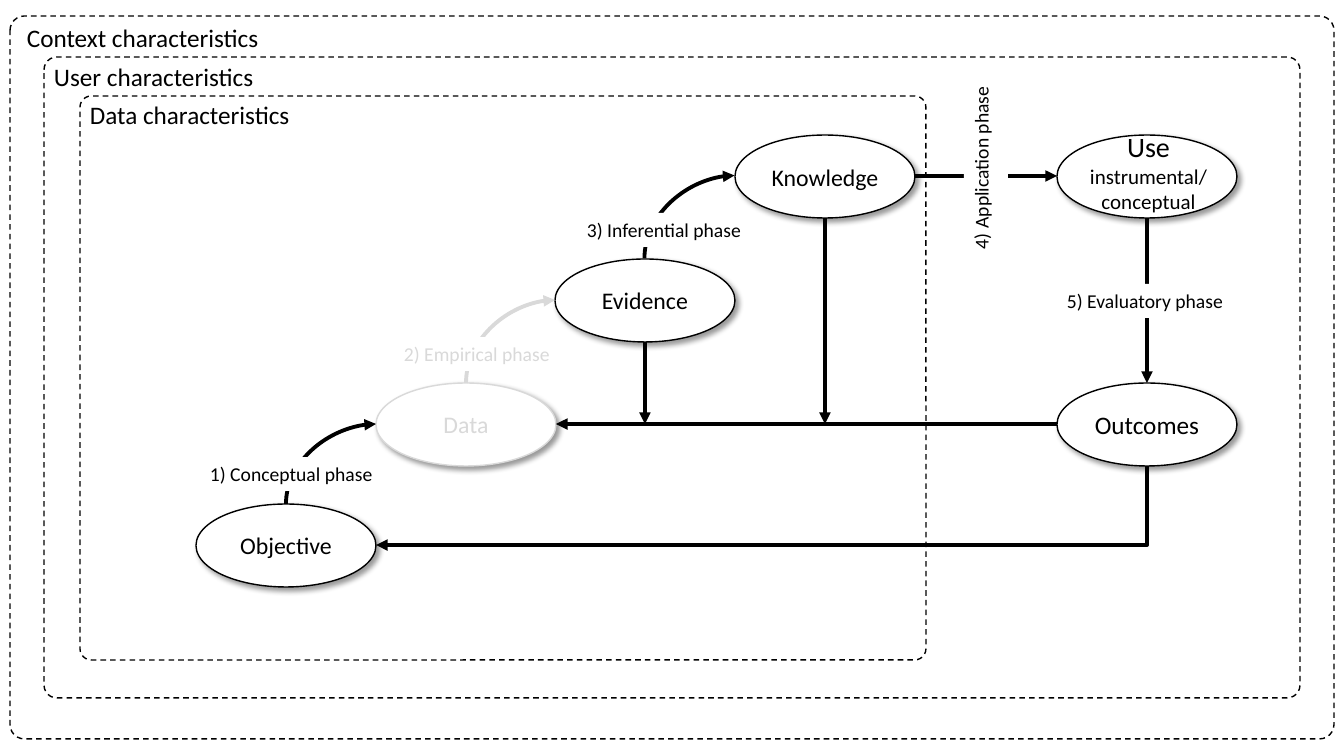
from dataclasses import dataclass
from lxml import etree
from pptx import Presentation
from pptx.dml.color import RGBColor
from pptx.enum.dml import MSO_LINE
from pptx.enum.shapes import MSO_CONNECTOR, MSO_SHAPE
from pptx.enum.text import MSO_ANCHOR, PP_ALIGN
from pptx.oxml import parse_xml
from pptx.oxml.ns import nsdecls, qn
from pptx.util import Emu, Pt

SCALE = 914400 / 100.8
FONT = "Calibri"
HUES = {"ink": "000000", "faint": "D9D9D9", "paper": "FFFFFF"}
NODE_W, NODE_H = 180, 83


@dataclass
class Frame:
    name: str
    box: tuple[int, int, int, int]
    label: tuple[int, int, int, int]


@dataclass
class Node:
    name: str
    left: int
    top: int
    size: int = 17
    hue: str = "ink"

    @property
    def mid(self) -> tuple[int, int]:
        return self.left + NODE_W // 2, self.top + NODE_H // 2

    @property
    def north(self) -> tuple[int, int]:
        return self.mid[0], self.top

    @property
    def south(self) -> tuple[int, int]:
        return self.mid[0], self.top + NODE_H

    @property
    def west(self) -> tuple[int, int]:
        return self.left, self.mid[1]

    @property
    def east(self) -> tuple[int, int]:
        return self.left + NODE_W, self.mid[1]


@dataclass
class Phase:
    text: str
    left: int
    top: int
    hue: str = "ink"
    width: int = 183
    height: int = 34
    upright: bool = False


def px(*vals: int) -> list[Emu]:
    return [Emu(round(v * SCALE)) for v in vals]


def tint(hue: str) -> RGBColor:
    return RGBColor.from_string(HUES[hue])


def write(para, text: str, size: int, hue: str = "ink", align=PP_ALIGN.LEFT) -> None:
    para.alignment = align
    run = para.add_run()
    run.text = text
    run.font.name = FONT
    run.font.size = Pt(size)
    run.font.color.rgb = tint(hue)


def add_frame(frame: Frame) -> None:
    shape = slide.shapes.add_shape(MSO_SHAPE.ROUNDED_RECTANGLE, *px(*frame.box))
    shape.adjustments[0] = 0.02
    shape.shadow.inherit = False
    shape.fill.background()
    shape.line.color.rgb = tint("ink")
    shape.line.width = Pt(1)
    shape.line.dash_style = MSO_LINE.DASH


def add_title(frame: Frame) -> None:
    text = slide.shapes.add_textbox(*px(*frame.label)).text_frame
    text.word_wrap = False
    write(text.paragraphs[0], frame.name, 18)


def add_node(node: Node) -> None:
    shape = slide.shapes.add_shape(MSO_SHAPE.OVAL, *px(node.left, node.top, NODE_W, NODE_H))
    shape.fill.solid()
    shape.fill.fore_color.rgb = tint("paper")
    shape.line.color.rgb = tint(node.hue)
    shape.line.width = Pt(1)
    shape._element.spPr.append(parse_xml(
        f'<a:effectLst {nsdecls("a")}><a:outerShdw blurRad="{Pt(4)}" dist="{Pt(3)}" '
        f'dir="2700000" algn="tl" rotWithShape="0"><a:srgbClr val="{HUES["ink"]}">'
        '<a:alpha val="40000"/></a:srgbClr></a:outerShdw></a:effectLst>'))
    if node.name:
        text = shape.text_frame
        text.margin_left = text.margin_right = 0
        text.vertical_anchor = MSO_ANCHOR.MIDDLE
        write(text.paragraphs[0], node.name, node.size, node.hue, PP_ALIGN.CENTER)


def add_arrow(start: tuple[int, int], end: tuple[int, int], hue: str = "ink",
              kind=MSO_CONNECTOR.STRAIGHT):
    line = slide.shapes.add_connector(kind, *px(*start, *end))
    line.line.color.rgb = tint(hue)
    line.line.width = Pt(2.75)
    etree.SubElement(line.line._get_or_add_ln(), qn("a:tailEnd"), type="triangle")
    etree.SubElement(line._element.spPr, qn("a:effectLst"))
    return line


def add_turn(start: tuple[int, int], end: tuple[int, int], kind, preset: str,
             hue: str = "ink") -> None:
    """Leave vertically and arrive horizontally: a one-bend arrow on its side."""
    wide, high = abs(end[0] - start[0]), abs(end[1] - start[1])
    left = (start[0] + end[0] - high) // 2
    top = (start[1] + end[1] - wide) // 2
    line = add_arrow((left, top), (left + high, top + wide), hue, kind)
    props = line._element.spPr
    props.find(qn("a:prstGeom")).set("prst", preset)
    frame = props.find(qn("a:xfrm"))
    frame.set("rot", "5400000")
    if end[0] > start[0]:
        frame.set("flipH", "1")
        frame.set("flipV", "1")


def add_phase(phase: Phase) -> None:
    shape = slide.shapes.add_shape(
        MSO_SHAPE.RECTANGLE, *px(phase.left, phase.top, phase.width, phase.height))
    shape.shadow.inherit = False
    shape.fill.solid()
    shape.fill.fore_color.rgb = tint("paper")
    shape.line.fill.background()
    text = shape.text_frame
    text.word_wrap = True
    text.vertical_anchor = MSO_ANCHOR.TOP
    if phase.upright:
        text._txBody.bodyPr.set("vert", "vert270")
    write(text.paragraphs[0], phase.text, 14, phase.hue)


deck = Presentation()
deck.slide_width, deck.slide_height = px(1344, 756)
slide = deck.slides.add_slide(deck.slide_layouts[6])

# Nested frames and their headings
frames = [
    Frame("Context characteristics", (10, 16, 1324, 723), (17, 17, 254, 40)),
    Frame("User characteristics", (44, 57, 1256, 641), (44, 56, 222, 40)),
    Frame("Data characteristics", (80, 96, 846, 564), (80, 94, 222, 40)),
]
for frame in frames:
    add_frame(frame)
for frame in frames:
    add_title(frame)

# Nodes: the rising chain, then use and outcomes
goal = Node("Objective", 196, 504)
data = Node("Data", 376, 383, hue="faint")
proof = Node("Evidence", 555, 259)
know = Node("Knowledge", 735, 135)
use = Node("", 1057, 135)
result = Node("Outcomes", 1057, 383, 18)
chain = [goal, data, proof, know]
for node in chain + [use, result]:
    add_node(node)

# Arrows up the chain
for low, high in zip(chain, chain[1:]):
    add_turn(low.north, high.west, MSO_CONNECTOR.CURVE, "curvedConnector2", low.hue)

# Straight arrows and the way back to the objective
for start, end in [
    (know.east, use.west),
    (use.south, result.north),
    (result.west, data.east),
    (proof.south, (proof.mid[0], data.mid[1])),
    (know.south, (know.mid[0], data.mid[1])),
]:
    add_arrow(start, end)
add_turn(result.south, goal.east, MSO_CONNECTOR.ELBOW, "bentConnector2")

# Three-line text over the use node
text = slide.shapes.add_textbox(*px(1063, 125, 171, 95)).text_frame
text.word_wrap = True
for i, (words, size) in enumerate([("Use", 20), ("instrumental/", 15), ("conceptual", 15)]):
    para = text.add_paragraph() if i else text.paragraphs[0]
    write(para, words, size, align=PP_ALIGN.CENTER)

# Phase labels over the arrows
for phase in [
    Phase("1) Conceptual phase", 200, 457),
    Phase("2) Empirical phase", 394, 337, "faint"),
    Phase("3) Inferential phase", 577, 213),
    Phase("5) Evaluatory phase", 1057, 284),
    Phase("4) Application phase", 964, 74, width=44, height=185, upright=True),
]:
    add_phase(phase)

deck.save("out.pptx")
